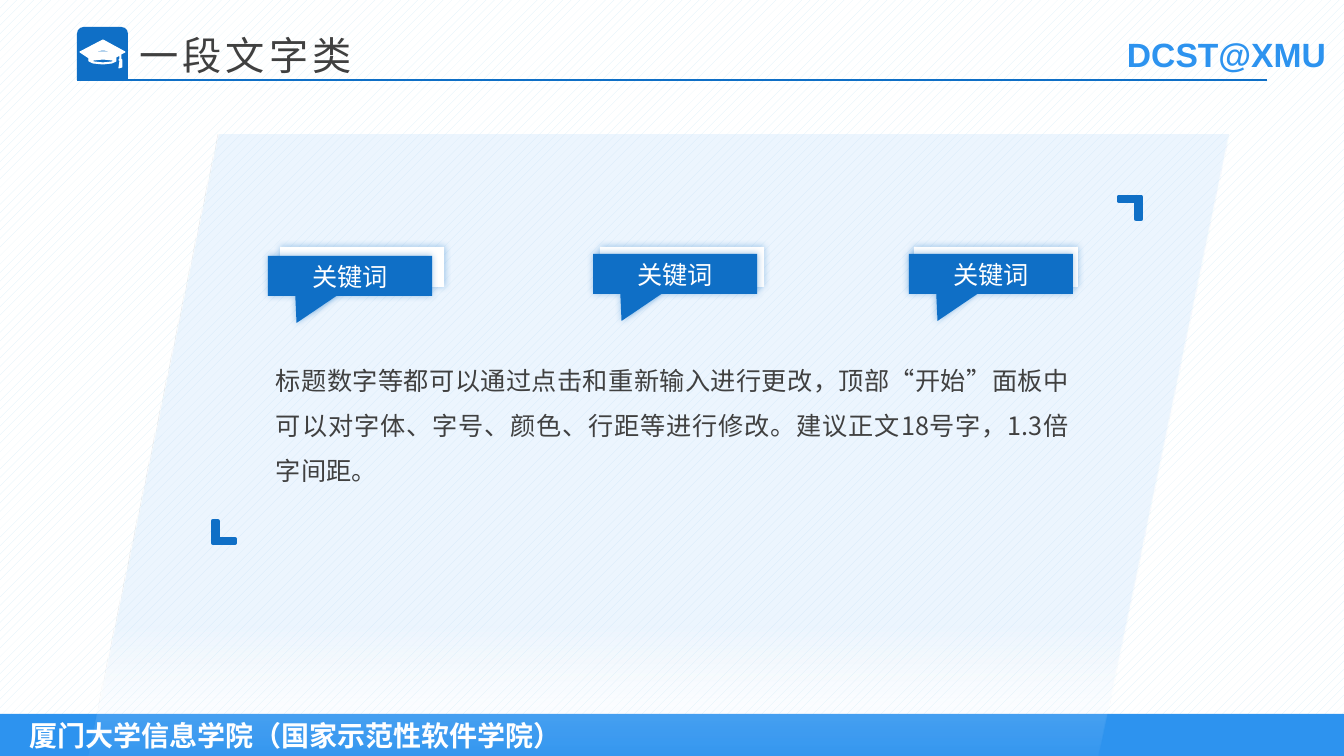
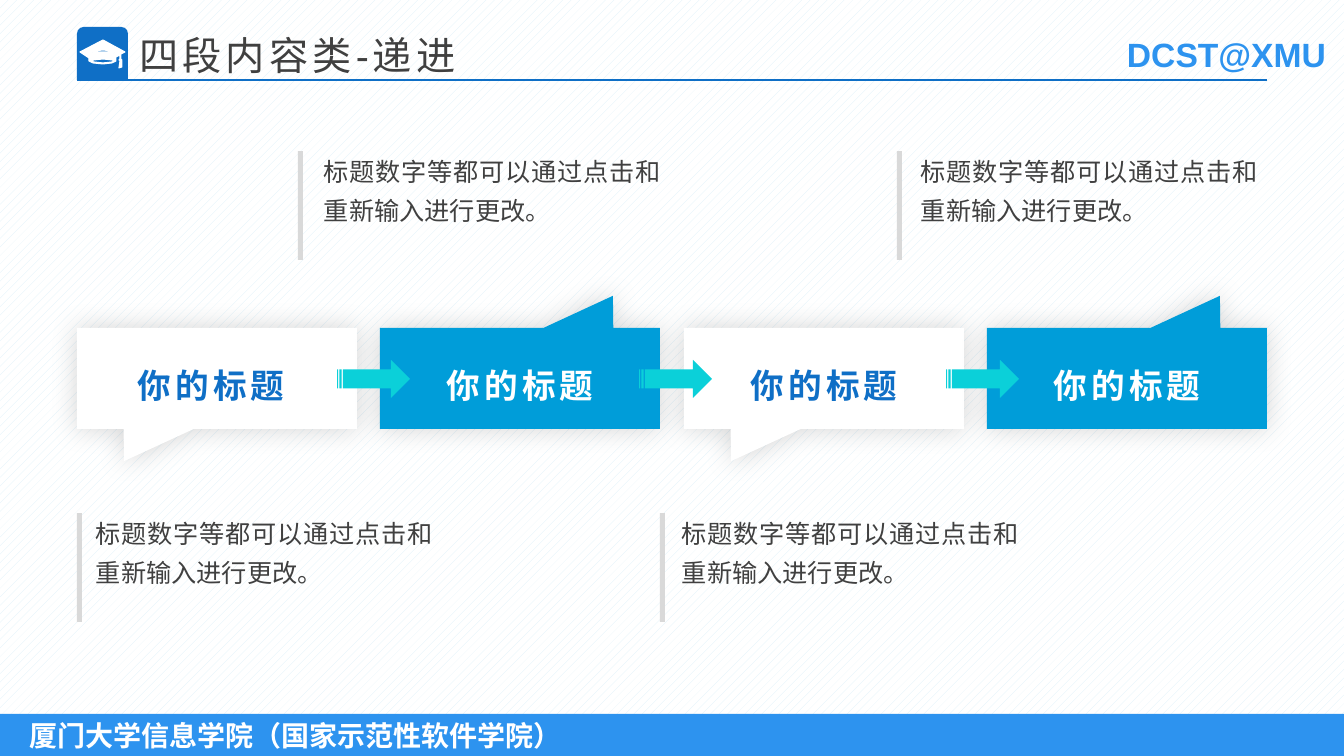
from lxml import etree
from pptx import Presentation, util as u
from pptx.dml.color import RGBColor
from pptx.enum import dml, shapes, text
from pptx.oxml.ns import qn

PX = 914400 / 100.8
BLUE, SKY, CYAN, TEAL = "0F6FC6", "2D93EF", "009DD9", "0BD0D9"
WHITE, BLACK, INK, GREY = "FFFFFF", "000000", "404040", "D9D9D9"
LATIN, CJK = "Arial", "Noto Sans CJK SC"
SHAPE, ALIGN, ANCHOR = shapes.MSO_SHAPE, text.PP_ALIGN, text.MSO_ANCHOR
NOTE = "标题数字等都可以通过点击和重新输入进行更改。"

# Contours of the graduation cap, relative to its top left corner
CAP = [
    [(41, 19), (41, 14), (45, 12), (23, 0), (0, 12), (9, 18), (9, 21), (13, 23), (23, 24),
     (32, 23), (36, 21), (36, 17), (40, 15), (40, 19), (39, 20), (41, 21), (42, 20)],
    [(23, 23), (14, 22), (11, 21), (14, 20), (23, 19), (32, 20), (35, 21), (32, 22)],
    [(36, 15), (32, 12), (23, 12), (13, 12), (9, 15), (9, 14), (14, 11), (23, 10),
     (32, 11), (36, 14)],
    [(40, 21), (39, 28), (42, 27), (42, 21)],
]


def px(*lengths):
    return [u.Emu(round(length * PX)) for length in lengths]


def rgb(colour):
    return RGBColor.from_string(colour)


def assign(target, values):
    for name, value in values.items():
        setattr(target, name, value)


def paint(shape, fill, line=None, width=1):
    shape.shadow.inherit = False
    if fill:
        shape.fill.solid()
        shape.fill.fore_color.rgb = rgb(fill)
    if line:
        shape.line.color.rgb = rgb(line)
        shape.line.width = u.Pt(width)
    else:
        shape.line.fill.background()


def add_shape(page, kind, box, fill=None, adjust=(), **outline):
    shape = page.shapes.add_shape(kind, *px(*box))
    for index, value in enumerate(adjust):
        shape.adjustments[index] = value
    paint(shape, fill, **outline)
    return shape


def grade(fill, stops):
    """Top-to-bottom gradient from (position, colour, opacity in percent)."""
    fill.gradient()
    fill.gradient_angle = 270
    for stop, (position, colour, opacity) in zip(fill.gradient_stops, stops):
        stop.position = position
        stop.color.rgb = rgb(colour)
        if opacity < 100:
            choice = stop._gs.find(qn("a:srgbClr"))
            etree.SubElement(choice, qn("a:alpha"), val=str(opacity * 1000))


def add_glow(shape, colour, opacity, blur):
    effects = shape._element.spPr.find(qn("a:effectLst"))
    shadow = etree.SubElement(effects, qn("a:outerShdw"), blurRad=str(u.Pt(blur)),
                              dist="0", dir="0", algn="ctr", rotWithShape="0")
    choice = etree.SubElement(shadow, qn("a:srgbClr"), val=colour)
    etree.SubElement(choice, qn("a:alpha"), val=str(opacity * 1000))


def write(shape, words, size, colour, inset=(10, 5, 10, 5), anchor=ANCHOR.TOP,
          align=ALIGN.LEFT, leading=None, bold=False, name=LATIN, tracking=0):
    frame = shape.text_frame
    sides = ("margin_left", "margin_top", "margin_right", "margin_bottom")
    assign(frame, dict(zip(sides, px(*inset)), word_wrap=True, vertical_anchor=anchor))
    para = frame.paragraphs[0]
    assign(para, {"alignment": align, "line_spacing": leading})
    span = para.add_run()
    span.text = words
    assign(span.font, {"name": name, "size": u.Pt(size), "bold": bold})
    span.font.color.rgb = rgb(colour)
    props = span.font._element
    etree.SubElement(props, qn("a:ea"), typeface=CJK)
    if tracking:
        props.set("spc", str(tracking * 100))
    return span


def add_text(page, box, words, size, colour, **style):
    return write(page.shapes.add_textbox(*px(*box)), words, size, colour, **style)


def add_cap(page, left, top):
    (first, *rest), *others = CAP
    builder = page.shapes.build_freeform(*first, scale=PX)
    builder.add_line_segments(rest)
    for start, *points in others:
        builder.move_to(*start)
        builder.add_line_segments(points)
    paint(builder.convert_to_shape(*px(left, top)), WHITE, line=WHITE, width=0.75)


def add_page(deck, heading):
    """Blank page with the shared backdrop, footer, badge, rule and title."""
    page = deck.slides.add_slide(deck.slide_layouts[5])

    # Backdrop and footer band
    backdrop = add_shape(page, SHAPE.RECTANGLE, (0, 0, 1344, 756))
    backdrop.fill.patterned()
    backdrop.fill.pattern = dml.MSO_PATTERN.PERCENT_20
    backdrop.fill.fore_color.rgb = rgb("DBEFF9")
    backdrop.fill.back_color.rgb = rgb(WHITE)
    footer = add_shape(page, SHAPE.RECTANGLE, (0, 714, 1344, 42), SKY)
    write(footer, "厦门大学信息学院（国家示范性软件学院）", 20, WHITE, bold=True,
          inset=(29, 0, 10, 0), anchor=ANCHOR.MIDDLE)

    # Department name
    mark = add_text(page, (1117, 29, 227, 50), "DCST@XMU", 24, SKY, bold=True)
    grade(mark.font.fill, [(0, SKY, 100), (1, BLUE, 100)])

    # Badge and rule
    add_shape(page, SHAPE.ROUND_2_SAME_RECTANGLE, (77, 27, 51, 53), BLUE, (0.13, 0))
    add_cap(page, 80, 40)
    rule = page.shapes.add_connector(shapes.MSO_CONNECTOR.STRAIGHT, *px(77, 80, 1267, 80))
    rule.line.color.rgb = rgb(BLUE)
    rule.line.width = u.Pt(1)
    etree.SubElement(rule._element.spPr, qn("a:effectLst"))

    # Title, brought in front of the backdrop
    title = page.shapes.title
    assign(title, dict(zip(("left", "top", "width", "height"), px(129, 25, 736, 60))))
    write(title, heading, 28, INK, anchor=ANCHOR.MIDDLE, tracking=3)
    page.shapes._spTree.append(title._element)
    return page


def add_keyword(page, left, top, back_left):
    """Blue callout over a white one."""
    for box, colour in (((back_left, 247, 164, 40), WHITE), ((left, top, 164, 40), BLUE)):
        callout = add_shape(page, SHAPE.RECTANGULAR_CALLOUT, box, colour, (-0.326, 1.175))
        add_glow(callout, BLUE, 40, 5)
    write(callout, "关键词", 18, WHITE, inset=(0, 0, 0, 0), anchor=ANCHOR.MIDDLE,
          align=ALIGN.CENTER)


def add_step(page, left, top, points_up, text_shift):
    """Callout whose tail points up or down."""
    sign = -1 if points_up else 1
    fill, ink = (CYAN, WHITE) if points_up else (WHITE, BLUE)
    callout = add_shape(page, SHAPE.RECTANGULAR_CALLOUT, (left, top, 280, 101), fill,
                        (-0.332 * sign, 0.819 * sign))
    add_glow(callout, BLACK, 17, 20)
    write(callout, "你的标题", 24, ink, inset=(0, 14, text_shift, 0),
          anchor=ANCHOR.MIDDLE, align=ALIGN.CENTER, bold=True, tracking=3)


def add_note(page, left, top, gap):
    """Grey bar with a note to its right."""
    add_shape(page, SHAPE.RECTANGLE, (left, top, 5, 109), GREY)
    add_text(page, (left + gap, top - 9, 357, 86), NOTE, 18, INK,
             align=ALIGN.JUSTIFY, leading=1.3)


def one_paragraph(deck):
    page = add_page(deck, "一段文字类")

    panel = add_shape(page, SHAPE.PARALLELOGRAM, (86, 135, 1142, 635), adjust=(0.21,))
    grade(panel.fill, [(0.77, "C5E1FB", 33), (1, WHITE, 0)])

    for keyword in ((268, 256, 280), (593, 254, 600), (909, 254, 914)):
        add_keyword(page, *keyword)

    add_text(page, (266, 345, 813, 142),
             "标题数字等都可以通过点击和重新输入进行更改，顶部“开始”面板中可以对字体、字号、"
             "颜色、行距等进行修改。建议正文18号字，1.3倍字间距。",
             18, INK, name=CJK, align=ALIGN.JUSTIFY, leading=1.5)

    # Corner brackets
    for left, top, turn, width in ((213, 521, 0, 3), (1119, 197, 180, 3.5)):
        bracket = add_shape(page, SHAPE.CORNER, (left, top, 22, 22), BLUE, (0.18, 0.21),
                            line=BLUE, width=width)
        bracket.rotation = turn


def four_steps(deck):
    page = add_page(deck, "四段内容类-递进")

    for index in range(4):
        add_step(page, 77 + round(index * 910 / 3), 328, index % 2 == 1,
                 0 if index else 12)

    for note in ((77, 513, 9), (660, 513, 12), (298, 151, 16), (897, 151, 14)):
        add_note(page, *note)

    for left in (337, 639, 946):
        add_shape(page, SHAPE.STRIPED_RIGHT_ARROW, (left, 360, 73, 38), TEAL)


def main():
    deck = Presentation()
    deck.slide_width, deck.slide_height = px(1344, 756)
    one_paragraph(deck)
    four_steps(deck)
    deck.save("out.pptx")


if __name__ == "__main__":
    main()
